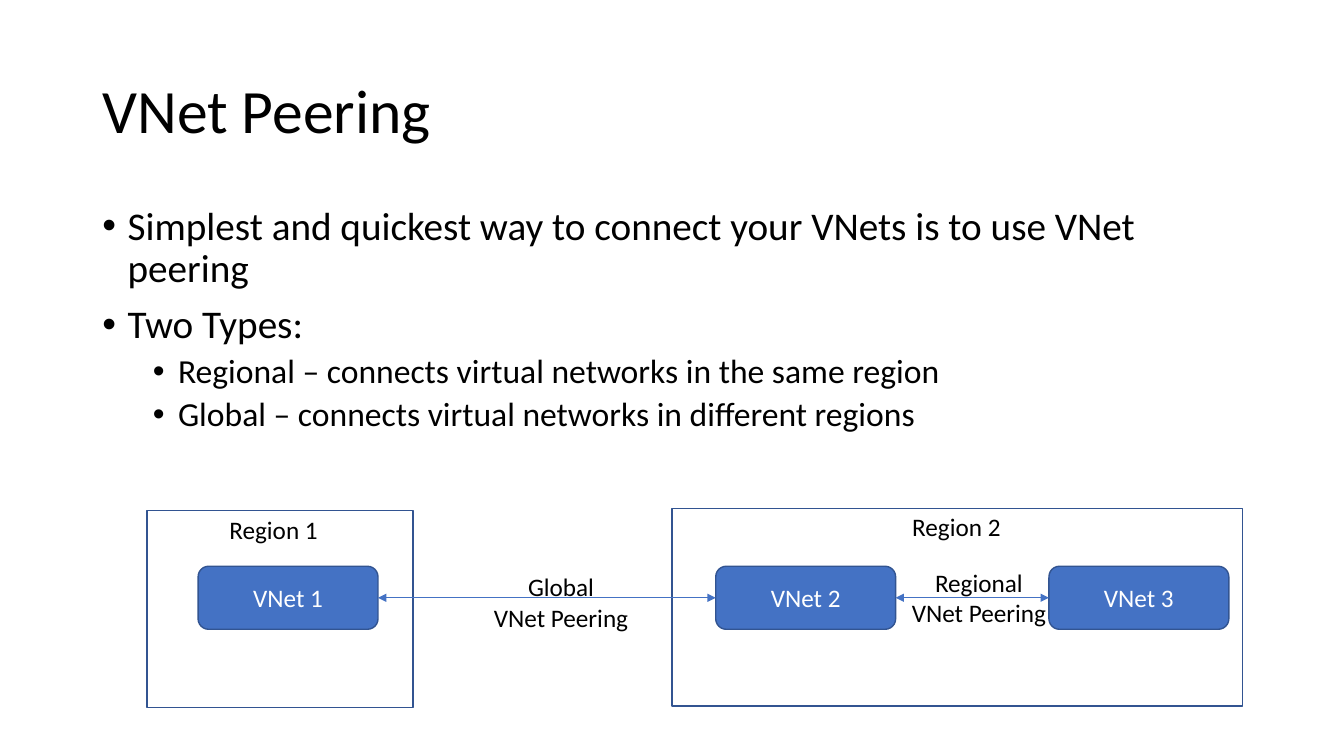
from lxml import etree
from pptx import Presentation
from pptx.dml.color import RGBColor
from pptx.enum.shapes import MSO_CONNECTOR, MSO_SHAPE
from pptx.enum.text import MSO_ANCHOR as ANCHOR, MSO_AUTO_SIZE as AUTO, PP_ALIGN as ALIGN
from pptx.oxml.ns import qn
from pptx.util import Pt

COLORS = {"text": "000000", "light": "FFFFFF", "node": "4472C4", "edge": "325491"}


def rgb(name):
    return RGBColor.from_string(COLORS[name])


class SlideBuilder:
    font = "Calibri"

    def __init__(self, slide):
        self.slide = slide

    def place(self, sp, box):
        sp.left, sp.top, sp.width, sp.height = map(Pt, box)

    def format(self, p, size, color="text", align=ALIGN.LEFT):
        p.alignment = align
        for r in p.runs:
            r.font.name = self.font
            r.font.size = Pt(size)
            r.font.color.rgb = rgb(color)

    def title(self, text, box):
        sp = self.slide.shapes.title
        self.place(sp, box)
        tf = sp.text_frame
        tf.text = text
        tf.auto_size = AUTO.NONE
        tf.vertical_anchor = ANCHOR.MIDDLE
        tf.paragraphs[0].line_spacing = 0.9
        self.format(tf.paragraphs[0], 44)

    def bullets(self, items, box):
        sp = self.slide.placeholders[1]
        self.place(sp, box)
        tf = sp.text_frame
        tf.text = "\n".join(text for level, text in items)
        tf.auto_size = AUTO.NONE
        for p, (level, text) in zip(tf.paragraphs, items):
            p.level = level
            p.line_spacing = 0.9
            p.space_before = Pt(5 if level else 10)
            self.format(p, 24 if level else 28)
            pPr = p._p.get_or_add_pPr()
            pPr.set("marL", str(Pt(18 + 36 * level)))
            pPr.set("indent", str(Pt(-18)))
            etree.SubElement(pPr, qn("a:buFont")).set("typeface", "Arial")
            etree.SubElement(pPr, qn("a:buChar")).set("char", "•")

    def shape(self, kind, box, fill=None):
        sp = self.slide.shapes.add_shape(kind, *map(Pt, box))
        sp.shadow.inherit = False
        if fill:
            sp.fill.solid()
            sp.fill.fore_color.rgb = rgb(fill)
        else:
            sp.fill.background()
        sp.line.color.rgb = rgb("edge")
        sp.line.width = Pt(1)
        return sp

    def region(self, box):
        self.shape(MSO_SHAPE.RECTANGLE, box)

    def node(self, text, box):
        sp = self.shape(MSO_SHAPE.ROUNDED_RECTANGLE, box, "node")
        sp.text_frame.text = text
        sp.text_frame.vertical_anchor = ANCHOR.MIDDLE
        self.format(sp.text_frame.paragraphs[0], 18, "light", ALIGN.CENTER)
        return sp

    def peering(self, start, end):
        cx = self.slide.shapes.add_connector(MSO_CONNECTOR.STRAIGHT, 0, 0, 0, 0)
        cx.begin_connect(start, 3)
        cx.end_connect(end, 1)
        cx.line.color.rgb = rgb("node")
        cx.line.width = Pt(0.5)
        ln = cx.line._get_or_add_ln()
        for tag in ("a:headEnd", "a:tailEnd"):
            etree.SubElement(ln, qn(tag)).set("type", "triangle")
        etree.SubElement(cx._element.spPr, qn("a:effectLst"))

    def label(self, text, box, align=ALIGN.LEFT):
        sp = self.slide.shapes.add_textbox(*map(Pt, box))
        tf = sp.text_frame
        tf.text = text
        tf.word_wrap = False
        tf.auto_size = AUTO.SHAPE_TO_FIT_TEXT
        for p in tf.paragraphs:
            self.format(p, 18, align=align)


prs = Presentation()
prs.slide_width, prs.slide_height = Pt(960), Pt(540)
s = SlideBuilder(prs.slides.add_slide(prs.slide_layouts[1]))

s.title("VNet Peering", (66, 28.75, 828, 104.4))
s.bullets([
    (0, "Simplest and quickest way to connect your VNets is to use VNet peering"),
    (0, "Two Types:"),
    (1, "Regional – connects virtual networks in the same region"),
    (1, "Global – connects virtual networks in different regions"),
], (66, 143.75, 828, 179))

for box in [(105, 364.5, 190, 141), (480, 363.25, 407.5, 141)]:
    s.region(box)

nodes = [s.node(f"VNet {i}", (x, 404.5, 128.5, 45))
         for i, x in enumerate((141.5, 511.25, 749.25), 1)]
for start, end in zip(nodes, nodes[1:]):
    s.peering(start, end)

for kind, x, y in [("Global", 345, 404.75), ("Regional", 643.5, 401.75)]:
    s.label(f"{kind}\nVNet Peering", (x, y, 111.5, 51), ALIGN.CENTER)
for text, x, y in [("Region 1", 156.75, 363.5), ("Region 2", 644.5, 361.75)]:
    s.label(text, (x, y, 78.5, 29))

prs.save("out.pptx")
